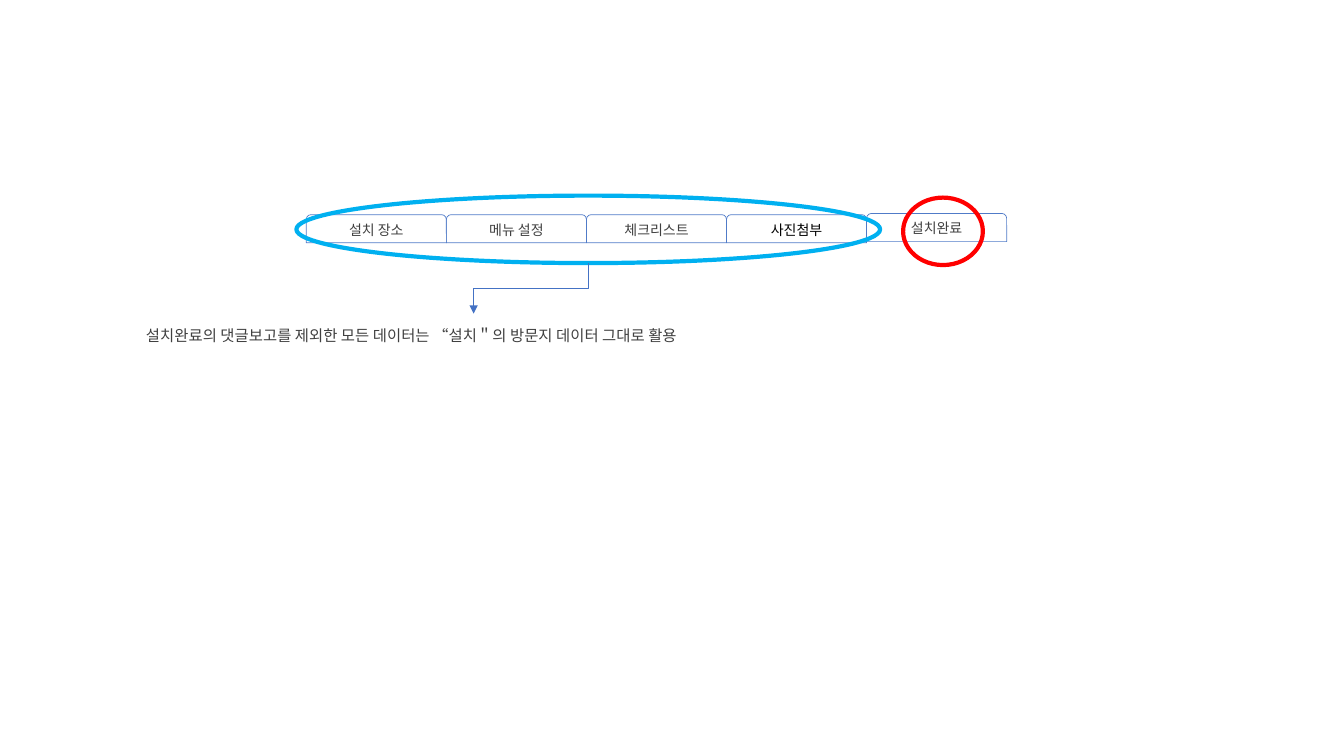
import pptx
import pptx.util
import pptx.dml.color
import pptx.enum.shapes
import pptx.enum.text
import pptx.oxml
import pptx.oxml.ns
from pptx.util import Cm

FONT = "Noto Sans CJK KR"
DARK_GREY = "404040"
SHAPES = pptx.enum.shapes.MSO_SHAPE


def color(hex_text):
    return pptx.dml.color.RGBColor.from_string(hex_text)


def add_text(para, text, size, hex_text):
    span = para.add_run()
    span.text = text
    span.font.name = FONT
    span.font.size = pptx.util.Pt(size)
    span.font.color.rgb = color(hex_text)
    east_asian = pptx.oxml.parse_xml(
        f'<a:ea {pptx.oxml.ns.nsdecls("a")} typeface="{FONT}"/>')
    span.font._element.find(pptx.oxml.ns.qn("a:latin")).addnext(east_asian)


deck = pptx.Presentation()
deck.slide_width = Cm(33.87)
deck.slide_height = Cm(19.05)
page = deck.slides.add_slide(deck.slide_layouts[6])

# Row of tabs; the last one is white and sits slightly higher
tab_width, tab_height = 3.53, 0.71
tabs = [
    ("설치 장소", DARK_GREY, 5.41),
    ("메뉴 설정", DARK_GREY, 5.41),
    ("체크리스트", DARK_GREY, 5.41),
    ("사진첨부", "000000", 5.41),
    ("설치완료", DARK_GREY, 5.38),
]
for index, (label, text_color, top) in enumerate(tabs):
    tab = page.shapes.add_shape(
        SHAPES.ROUND_2_SAME_RECTANGLE, Cm(7.72 + index * tab_width), Cm(top),
        Cm(tab_width), Cm(tab_height))
    tab.shadow.inherit = False
    if label == "설치완료":
        tab.fill.solid()
        tab.fill.fore_color.rgb = color("FFFFFF")
    else:
        tab.fill.background()
    tab.line.color.rgb = color("507BC8")
    tab.line.width = pptx.util.Pt(0.5)
    tab.text_frame.vertical_anchor = pptx.enum.text.MSO_ANCHOR.MIDDLE
    para = tab.text_frame.paragraphs[0]
    para.alignment = pptx.enum.text.PP_ALIGN.CENTER
    add_text(para, label, 10, text_color)

# Rings around the completed tab and the reused tabs
for left, top, width, ring_color in [(22.76, 4.98, 2.01, "FF0000"),
                                     (7.47, 4.93, 14.71, "00B0F0")]:
    ring = page.shapes.add_shape(
        SHAPES.OVAL, Cm(left), Cm(top), Cm(width), Cm(1.7))
    ring.shadow.inherit = False
    ring.fill.background()
    ring.line.color.rgb = color(ring_color)
    ring.line.width = pptx.util.Pt(3)

# Explanation
box = page.shapes.add_textbox(Cm(3.43), Cm(7.87), Cm(17.02), Cm(0.86))
box.text_frame.word_wrap = True
para = box.text_frame.paragraphs[0]
para.line_spacing = 1.5
add_text(para, "설치완료의 댓글보고를 제외한 모든 데이터는 “설치＂의 방문지 데이터 그대로 활용",
         11, DARK_GREY)

# Elbow arrow from the blue ring to the explanation, turned to leave downwards
arrow = page.shapes.add_connector(
    pptx.enum.shapes.MSO_CONNECTOR.ELBOW,
    Cm(12.75), Cm(5.82), Cm(14.02), Cm(8.72))
arrow.line.color.rgb = color("4472C4")
arrow.line.width = pptx.util.Pt(0.5)
properties = arrow._element.spPr
properties.find(pptx.oxml.ns.qn("a:xfrm")).set("rot", str(90 * 60000))
line = properties.find(pptx.oxml.ns.qn("a:ln"))
line.append(pptx.oxml.parse_xml(
    f'<a:tailEnd {pptx.oxml.ns.nsdecls("a")} type="triangle"/>'))
properties.append(pptx.oxml.parse_xml(
    f'<a:effectLst {pptx.oxml.ns.nsdecls("a")}/>'))

deck.save("out.pptx")
